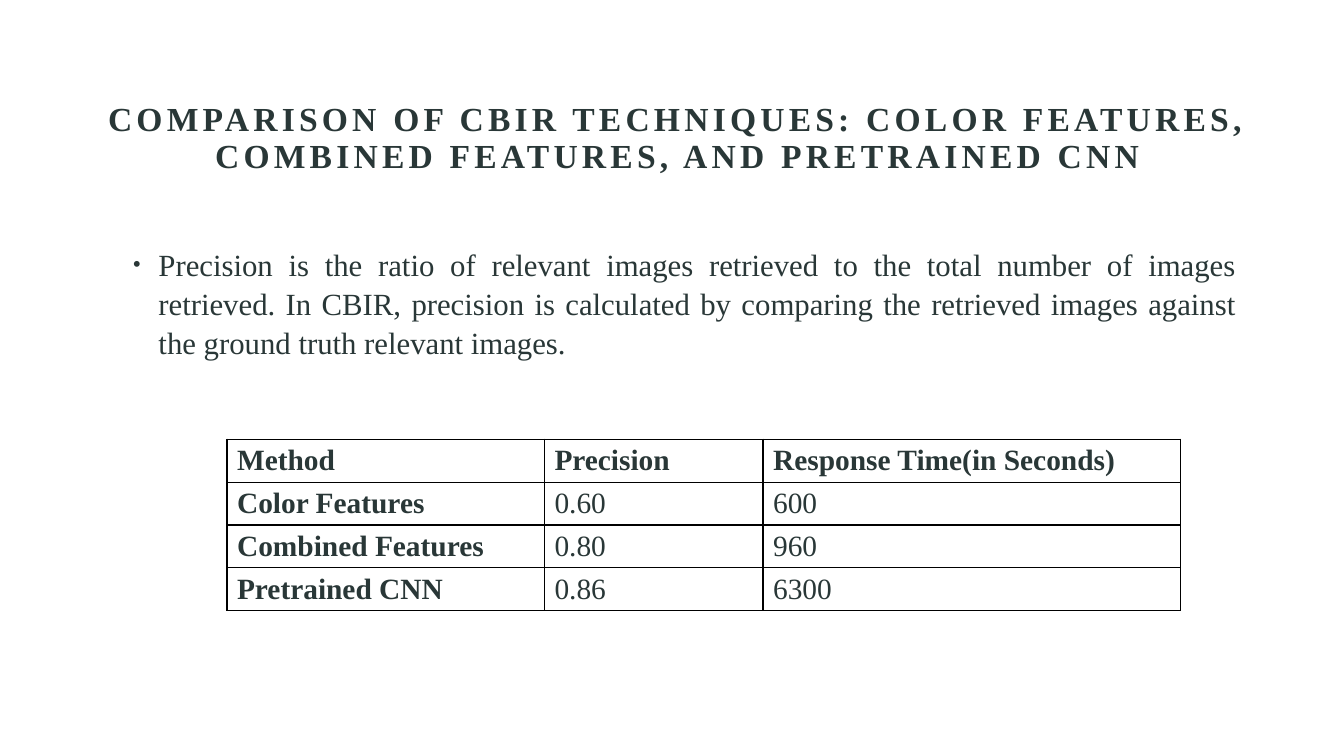
from dataclasses import dataclass

from lxml.etree import SubElement
from pptx import Presentation
from pptx.dml.color import RGBColor
from pptx.enum.text import MSO_ANCHOR as Anchor, MSO_AUTO_SIZE as AutoSize, PP_ALIGN as Align
from pptx.oxml.ns import qn
from pptx.util import Cm, Pt

TITLE = ("COMPARISON OF CBIR TECHNIQUES: COLOR FEATURES, "
         "COMBINED FEATURES, AND PRETRAINED CNN")
DEFINITION = ("Precision is the ratio of relevant images retrieved to the total number of "
              "images retrieved. In CBIR, precision is calculated by comparing the retrieved "
              "images against the ground truth relevant images.")
RESULTS = [
    ("Method", "Precision", "Response Time(in Seconds)"),
    ("Color Features", "0.60", "600"),
    ("Combined Features", "0.80", "960"),
    ("Pretrained CNN", "0.86", "6300"),
]

SLIDE_SIZE = (33.87, 19.05)
TITLE_BOX = (1.68, 0.74, 30.78, 3.81)
BODY_BOX = (3.1, 6.02, 28.3, 3.07)
TABLE_ORIGIN = (5.72, 11.07)
COLUMN_WIDTHS = (8, 5.51, 10.52)
ROW_HEIGHT = 1.08
BULLET_INDENT = 0.64


@dataclass(frozen=True)
class Theme:
    """Colours, font and type sizes of the slide."""
    font: str = "Times New Roman"
    ink: RGBColor = RGBColor(0x29, 0x37, 0x37)
    paper: RGBColor = RGBColor(0xFF, 0xFF, 0xFF)
    border: str = "000000"
    title_size: int = 24
    body_size: int = 22
    table_size: int = 21


THEME = Theme()


def set_all(target, values):
    """Set every attribute named in values on target."""
    for name, value in values.items():
        setattr(target, name, value)


def write(frame, text, size, bold=False, **paragraph_format):
    """Fill the first paragraph of a text frame and return its run."""
    paragraph = frame.paragraphs[0]
    set_all(paragraph, {"space_before": Pt(0), **paragraph_format})
    run = paragraph.add_run()
    run.text = text
    set_all(run.font, {"name": THEME.font, "size": Pt(size), "bold": bold})
    run.font.color.rgb = THEME.ink
    return run


def place(shape, box, anchor):
    """Move a placeholder to its box and fix its text layout."""
    set_all(shape, dict(zip(("left", "top", "width", "height"), map(Cm, box))))
    set_all(shape.text_frame, {"word_wrap": True, "auto_size": AutoSize.NONE,
                               "vertical_anchor": anchor})
    return shape.text_frame


def add_bullet(paragraph):
    """Give a paragraph a small hanging bullet."""
    properties = paragraph._p.get_or_add_pPr()
    properties.set("marL", str(Cm(BULLET_INDENT)))
    properties.set("indent", str(-Cm(BULLET_INDENT)))
    SubElement(properties, qn("a:buSzPct"), val="70000")
    SubElement(properties, qn("a:buFont"), typeface="Arial")
    SubElement(properties, qn("a:buChar"), char="•")


def add_borders(cell):
    """Draw a thin line on all four sides of a cell."""
    properties = cell._tc.get_or_add_tcPr()
    for index, side in enumerate(("lnL", "lnR", "lnT", "lnB")):
        line = SubElement(properties, qn(f"a:{side}"), w=str(Pt(1)))
        fill = SubElement(line, qn("a:solidFill"))
        SubElement(fill, qn("a:srgbClr"), val=THEME.border)
        properties.insert(index, line)


def add_results(slide):
    """Add the table that compares the methods."""
    size = (sum(COLUMN_WIDTHS), ROW_HEIGHT * len(RESULTS))
    table = slide.shapes.add_table(len(RESULTS), len(COLUMN_WIDTHS),
                                   *map(Cm, TABLE_ORIGIN + size)).table
    set_all(table, {"first_row": False, "horz_banding": False})
    for column, width in zip(table.columns, COLUMN_WIDTHS):
        column.width = Cm(width)
    for row_index, values in enumerate(RESULTS):
        table.rows[row_index].height = Cm(ROW_HEIGHT)
        for column_index, value in enumerate(values):
            cell = table.cell(row_index, column_index)
            set_all(cell, {"margin_top": Cm(0.1), "margin_bottom": Cm(0.1),
                           "vertical_anchor": Anchor.MIDDLE})
            cell.fill.background()
            add_borders(cell)
            write(cell.text_frame, value, THEME.table_size,
                  bold=row_index == 0 or column_index == 0)


def main():
    """Build and save the slide."""
    presentation = Presentation()
    presentation.slide_width, presentation.slide_height = map(Cm, SLIDE_SIZE)
    slide = presentation.slides.add_slide(presentation.slide_layouts[1])
    slide.background.fill.solid()
    slide.background.fill.fore_color.rgb = THEME.paper

    title = place(slide.shapes.title, TITLE_BOX, Anchor.BOTTOM)
    run = write(title, TITLE, THEME.title_size, bold=True,
                alignment=Align.CENTER, line_spacing=0.9)
    run.font._element.set("spc", "300")

    body = place(slide.placeholders[1], BODY_BOX, Anchor.TOP)
    add_bullet(body.paragraphs[0])
    write(body, DEFINITION, THEME.body_size, alignment=Align.JUSTIFY, line_spacing=1.05)

    add_results(slide)
    presentation.save("out.pptx")


if __name__ == "__main__":
    main()
